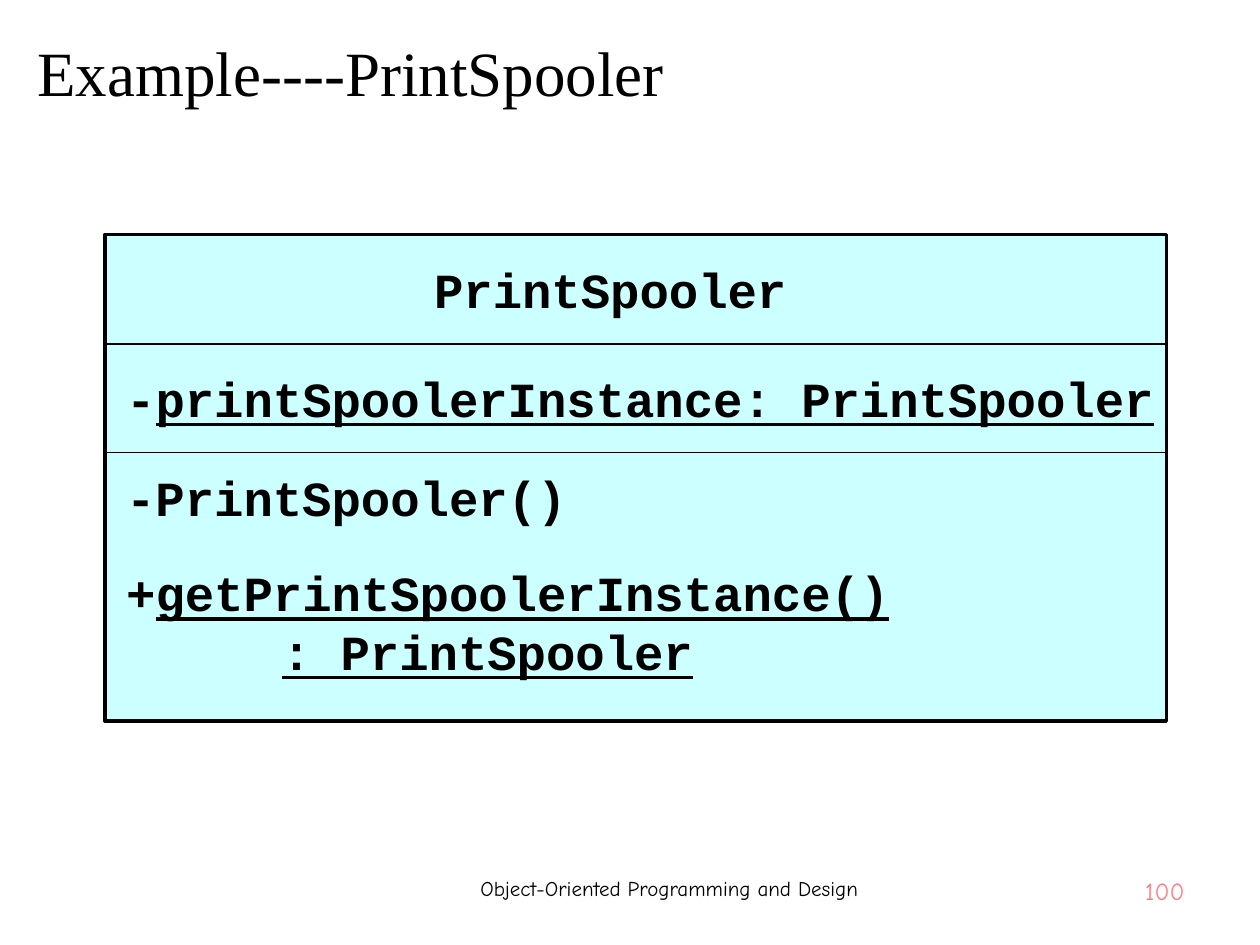
from lxml.etree import SubElement
from pptx import Presentation
from pptx.dml.color import RGBColor
from pptx.enum.shapes import MSO_CONNECTOR as Connector, MSO_SHAPE as Shape
from pptx.enum.text import MSO_ANCHOR as Anchor, PP_ALIGN as Align
from pptx.oxml.ns import qn
from pptx.util import Pt

COLORS = {"ink": "000000", "class": "00FFFF", "number": "FF7C80"}
FORMATS = {
    "title": {"name": "Times New Roman", "size": Pt(36)},
    "code": {"name": "Courier New", "size": Pt(28), "bold": True},
    "footer": {"name": "Comic Neue", "size": Pt(12)},
    "number": {"name": "Comic Neue", "size": Pt(14)},
}
CLASS_BOX = (60, 134, 606.5, 278)
DIVIDERS = (196.5, 258.5)
CLASS_OPACITY = 20
RESULT_INDENT = 89 - 72

# format, (left, top, width, height), alignment, anchor,
# lines of (visibility sign, name, underlined, indent)
TEXTS = [
    ("number", (604, 497, 80, 32), Align.RIGHT, Anchor.TOP, [("", "100", False, 0)]),
    ("footer", (218, 497, 329, 32), Align.CENTER, Anchor.TOP,
     [("", "Object-Oriented Programming and Design", False, 0)]),
    ("title", (14.4, 9.4, 692, 62.6), Align.LEFT, Anchor.MIDDLE,
     [("", "Example----PrintSpooler", False, 0)]),
    ("code", (229.5, 145.5, 238.5, 39.5), Align.CENTER, Anchor.MIDDLE,
     [("", "PrintSpooler", False, 0)]),
    ("code", (65, 207.5, 605, 39.5), Align.LEFT, Anchor.MIDDLE,
     [("-", "printSpoolerInstance: PrintSpooler", True, 0)]),
    ("code", (65, 264, 605, 39.5), Align.LEFT, Anchor.MIDDLE,
     [("-", "PrintSpooler()", False, 0)]),
    ("code", (65, 315.5, 605, 79), Align.LEFT, Anchor.MIDDLE,
     [("+", "getPrintSpoolerInstance()", True, 0),
      ("", ": PrintSpooler", True, 72 + RESULT_INDENT)]),
]


def color(name):
    return RGBColor.from_string(COLORS[name])


def add_class_box(page):
    box = page.shapes.add_shape(Shape.RECTANGLE, *map(Pt, CLASS_BOX))
    box.shadow.inherit = False
    box.fill.solid()
    box.fill.fore_color.rgb = color("class")
    fill_color = box.fill._xPr.find(qn("a:solidFill"))[0]
    SubElement(fill_color, qn("a:alpha"), val=str(CLASS_OPACITY * 1000))
    box.line.color.rgb = color("ink")
    box.line.width = Pt(2)


def add_divider(page, y):
    left, _, width, _ = CLASS_BOX
    line = page.shapes.add_connector(
        Connector.STRAIGHT, Pt(left), Pt(y), Pt(left + width), Pt(y))
    line.line.color.rgb = color("ink")
    line.line.width = Pt(0.75)
    SubElement(line._element.spPr, qn("a:effectLst"))


def add_text(page, style, place, align, anchor, lines):
    frame = page.shapes.add_textbox(*map(Pt, place)).text_frame
    frame.word_wrap = True
    frame.vertical_anchor = anchor
    for index, (sign, name, underlined, indent) in enumerate(lines):
        para = frame.add_paragraph() if index else frame.paragraphs[0]
        para.alignment = align
        if indent:
            para._p.get_or_add_pPr().set("marL", str(Pt(indent)))
        for text, underline in ((sign, False), (name, underlined)):
            if not text:
                continue
            span = para.add_run()
            span.text = text
            for key, value in FORMATS[style].items():
                setattr(span.font, key, value)
            span.font.underline = underline
            span.font.color.rgb = color("number" if style == "number" else "ink")


def main():
    deck = Presentation()
    deck.slide_width, deck.slide_height = Pt(720), Pt(540)
    page = deck.slides.add_slide(deck.slide_layouts[6])
    add_class_box(page)
    for y in DIVIDERS:
        add_divider(page, y)
    for text in TEXTS:
        add_text(page, *text)
    deck.save("out.pptx")


if __name__ == "__main__":
    main()
